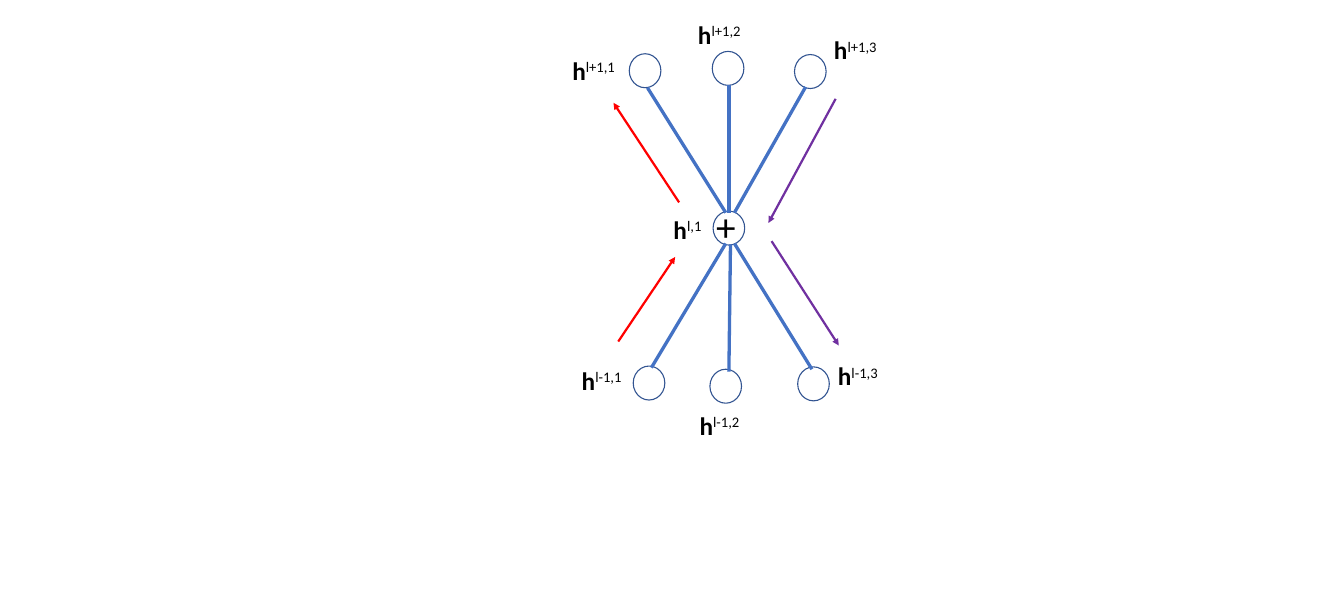
from lxml import etree
from pptx import Presentation
from pptx.dml.color import RGBColor
from pptx.enum.shapes import MSO_CONNECTOR, MSO_SHAPE
from pptx.oxml.ns import qn
from pptx.util import Inches, Pt

BLACK, OUTLINE, EDGE = "000000", "325491", "4472C4"
UPWARD, DOWNWARD = "FF0000", "7030A0"
NODE_WIDTH, NODE_HEIGHT = 0.4, 0.43

# Each entry: node position, label position, label, edge start, edge end.
# Positions are relative to the layer; edges start at the hub.
UPPER = [
    ((0.96, 0.68), (0.14, 0.65), "l+1,1", (2.18, 2.69), (1.19, 1.11)),
    ((2.01, 0.65), (1.73, 0.19), "l+1,2", (2.22, 2.69), (2.22, 1.08)),
    ((3.05, 0.69), (3.45, 0.39), "l+1,3", (2.29, 2.69), (3.19, 1.1)),
]
LOWER = [
    ((1.01, 1.63), (0.26, 1.57), "l-1,1", (2.18, 0.08), (1.24, 1.65)),
    ((1.98, 1.67), (1.75, 2.14), "l-1,2", (2.24, 0.09), (2.22, 1.7)),
    ((3.09, 1.64), (3.5, 1.51), "l-1,3", (2.29, 0.08), (3.27, 1.67)),
]
ARROWS = [
    ((3.57, 1.25), (2.72, 2.82), DOWNWARD),
    ((2.76, 3.05), (3.61, 4.37), DOWNWARD),
    ((0.82, 4.32), (1.54, 3.25), UPWARD),
    ((1.59, 2.56), (0.76, 1.3), UPWARD),
]


def colour(value):
    """Turn a hex string into a colour."""
    return RGBColor.from_string(value)


def shift(box, point):
    """Move a point from box coordinates to slide coordinates."""
    return box[0] + point[0], box[1] + point[1]


def add_span(para, text, size=23, bold=False, raised=False):
    """Append one formatted run, optionally as a superscript."""
    span = para.add_run()
    span.text = text
    span.font.name, span.font.size, span.font.bold = "Calibri", Pt(size), bold
    span.font.color.rgb = colour(BLACK)
    if raised:
        span.font._element.set("baseline", "30000")


def add_text_box(group, at, width, height):
    """Add a wrapping text box and return its paragraph."""
    box = group.shapes.add_textbox(*map(Inches, (*at, width, height)))
    box.text_frame.word_wrap = True
    return box.text_frame.paragraphs[0]


def add_label(group, at, index):
    """Add a bold h with a raised index."""
    para = add_text_box(group, at, 1.19, 0.49)
    add_span(para, "h", bold=True)
    add_span(para, index, raised=True)


def add_node(group, at):
    """Add an unfilled node circle."""
    node = group.shapes.add_shape(
        MSO_SHAPE.OVAL, *map(Inches, (*at, NODE_WIDTH, NODE_HEIGHT)))
    node.shadow.inherit = False
    node.fill.background()
    node.line.color.rgb = colour(OUTLINE)
    node.line.width = Pt(1)


def add_line(group, start, end, hue, width, arrow=False):
    """Add a straight line, optionally with an arrowhead at its end."""
    line = group.shapes.add_connector(
        MSO_CONNECTOR.STRAIGHT, *map(Inches, (*start, *end)))
    line.line.color.rgb = colour(hue)
    line.line.width = Pt(width)
    if arrow:
        etree.SubElement(line.line._get_or_add_ln(), qn("a:tailEnd"), type="triangle")
    etree.SubElement(line._element.spPr, qn("a:effectLst"))


def add_hub(group, box):
    """Draw the central summing node."""
    add_label(group, shift(box, (0, 0.16)), "l,1")
    add_node(group, shift(box, (0.6, 0.17)))
    add_span(add_text_box(group, shift(box, (0.54, 0.01)), 0.43, 0.7), "+", size=35.7)


def add_layer(group, box, entries):
    """Draw one layer of labelled nodes and their edges to the hub."""
    for node, label, index, start, end in entries:
        add_node(group, shift(box, node))
        add_line(group, shift(box, start), shift(box, end), EDGE, 3)
        add_label(group, shift(box, label), index)


def add_arrows(group, box):
    """Draw the arrows for the two directions of flow."""
    for start, end, hue in ARROWS:
        add_line(group, shift(box, start), shift(box, end), hue, 2, arrow=True)


deck = Presentation()
deck.slide_width, deck.slide_height = Inches(17), Inches(7.5)
page = deck.slides.add_slide(deck.slide_layouts[6])
network = page.shapes.add_group_shape()
add_hub(network, (8.42, 2.5))
add_layer(network, (7, 3), LOWER)
add_layer(network, (7, 0), UPPER)
add_arrows(network, (7, 0))
deck.save("out.pptx")
